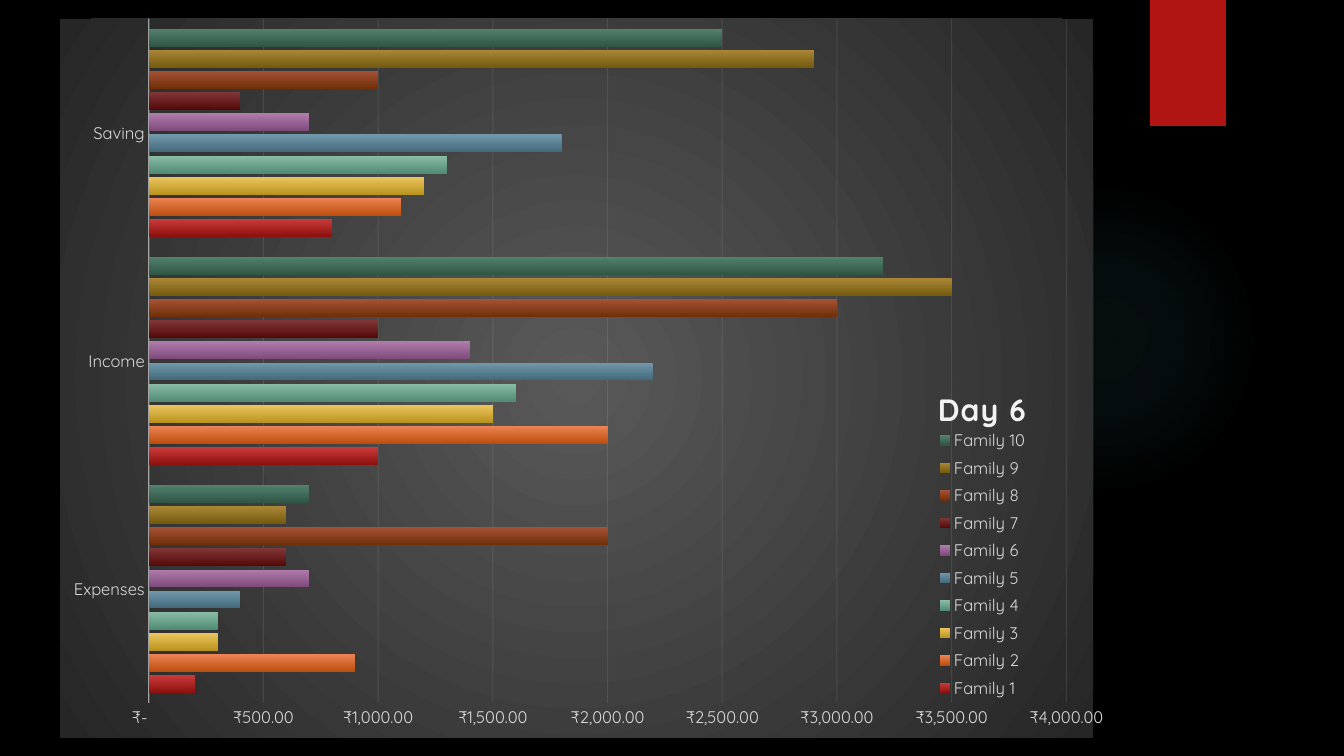
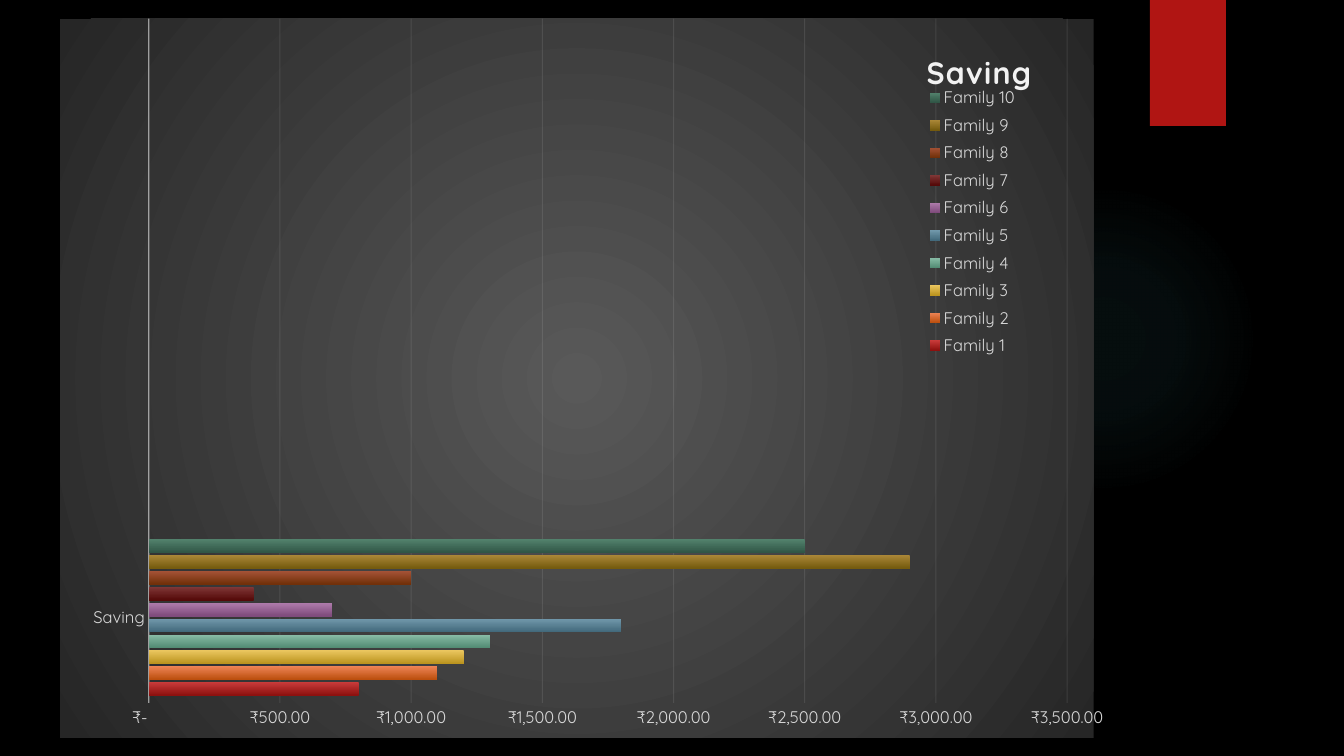
from lxml.etree import SubElement as Sub
from pptx import Presentation
from pptx.chart.data import CategoryChartData as Data
from pptx.dml.color import RGBColor as Rgb
from pptx.enum.chart import XL_CHART_TYPE as Kind, XL_LEGEND_POSITION as Spot, XL_TICK_MARK as Tick
from pptx.enum.shapes import MSO_SHAPE as Form
from pptx.oxml import parse_xml
from pptx.oxml.ns import nsdecls, qn
from pptx.util import Pt

NS = {
    "a": "http://schemas.openxmlformats.org/drawingml/2006/main",
    "c": "http://schemas.openxmlformats.org/drawingml/2006/chart",
}
INK = {"back": "000000", "flag": "B01513", "glow": "50B9C1", "mid": "595959", "edge": "262626",
       "text": "FFFFFF", "label": "D9D9D9", "line": "F2F2F2"}
BARS = [("C93B3A", "8D110F"), ("EE8455", "BC4F0E"), ("EBC65F", "BB941F"), ("89BDA7", "538C74"),
        ("7198AB", "436A7C"), ("AF7CAC", "7F4B7C"), ("7F3636", "550A09"), ("A45236", "713009"),
        ("AA8737", "755B0E"), ("52816C", "305646")]
MONEY = {
    "Expenses": [200, 900, 300, 300, 400, 700, 600, 2000, 600, 700],
    "Income": [1000, 2000, 1500, 1600, 2200, 1400, 1000, 3000, 3500, 3200],
    "Saving": [800, 1100, 1200, 1300, 1800, 700, 400, 1000, 2900, 2500],
}
RUPEE = '_("₹"* #,##0.00_);_("₹"* \\(#,##0.00\\);_("₹"* "-"??_);_(@_)'
FONT = "Quicksand"
WIDE, HIGH = 1344, 756
BOX = (60, 18, 1048, 720)


def px(num):
    """Turn px into EMU."""
    return round(num * 914400 / 100.8)


def hue(name):
    """Give the colour of a name or a hex string."""
    return Rgb.from_string(INK.get(name, name))


def fade(host, part):
    """Set the opacity of the first colour in an element, in percent."""
    Sub(host.find(".//a:srgbClr", NS), qn("a:alpha")).set("val", str(part * 1000))


def blend(host, stops, turn=None):
    """Put a gradient in place of the first empty fill, radial unless turned."""
    marks = "".join(
        f'<a:gs pos="{pos * 1000}"><a:srgbClr val="{hue(name)}">'
        f'<a:alpha val="{part * 1000}"/></a:srgbClr></a:gs>'
        for pos, name, part in stops)
    if turn is None:
        way = ('<a:path path="circle"><a:fillToRect l="50000" t="50000" '
               'r="50000" b="50000"/></a:path>')
    else:
        way = f'<a:lin ang="{turn * 60000}" scaled="0"/>'
    old = host.find(".//a:noFill", NS)
    new = parse_xml(f'<a:gradFill {nsdecls("a")} rotWithShape="1"><a:gsLst>{marks}</a:gsLst>{way}</a:gradFill>')
    old.getparent().replace(old, new)


def place(host, rank, left, top, wide=None, high=None, inner=False):
    """Fix the layout of a chart part, in px from the corner of the chart."""
    for old in host.findall("c:layout", NS):
        host.remove(old)
    lay = parse_xml(f'<c:layout {nsdecls("c")}><c:manualLayout/></c:layout>')
    man = lay[0]
    rows = [("layoutTarget", "inner")] if inner else []
    rows += [("xMode", "edge"), ("yMode", "edge"),
             ("x", left / BOX[2]), ("y", top / BOX[3])]
    if wide:
        rows += [("w", wide / BOX[2]), ("h", high / BOX[3])]
    for tag, val in rows:
        Sub(man, qn(f"c:{tag}")).set("val", str(val))
    host.insert(rank, lay)


class Deck:
    """Holds the style and the current slide."""

    def __init__(self):
        """Start an empty deck."""
        self.show = Presentation()
        self.show.slide_width, self.show.slide_height = px(WIDE), px(HIGH)
        self.slide = None

    def page(self):
        """Add a slide."""
        self.slide = self.show.slides.add_slide(self.show.slide_layouts[6])

    def shape(self, form, box):
        """Add a plain shape without line or shadow."""
        item = self.slide.shapes.add_shape(form, *map(px, box))
        item.shadow.inherit = False
        item.fill.background()
        item.line.fill.background()
        return item

    def base(self):
        """Put the glow and the flag on the master."""
        fill = self.show.slide_master.background.fill
        fill.solid()
        fill.fore_color.rgb = hue("back")
        glow = self.shape(Form.OVAL, (949, 184, 310, 310))
        blend(glow.element, [(0, "glow", 7), (36, "glow", 6), (69, "glow", 0)])
        flag = self.shape(Form.RECTANGLE, (1150, 0, 76, 126))
        flag.fill.solid()
        flag.fill.fore_color.rgb = hue("flag")
        shade = flag.element.find(".//a:effectLst", NS)
        shade.append(parse_xml(
            f'<a:outerShdw {nsdecls("a")} blurRad="{Pt(3)}" dist="{Pt(2)}" dir="5400000" rotWithShape="0">'
            f'<a:srgbClr val="{INK["back"]}"><a:alpha val="45000"/></a:srgbClr></a:outerShdw>'))
        for num, item in enumerate((glow, flag), 20):
            item.element.nvSpPr.cNvPr.set("id", str(num))
            self.show.slide_master.shapes.element.append(item.element)

    def font(self, font, size, name):
        """Style a font."""
        font.name, font.size = FONT, Pt(size)
        font.color.rgb = hue(name)

    def stroke(self, form, size, part):
        """Style a thin see-through line of a chart."""
        form.line.color.rgb = hue("line")
        form.line.width = Pt(size)
        fade(form.element, part)

    def chart(self, title, cats, peak, head, key):
        """Add a bar chart of the families."""
        data = Data()
        data.categories = cats
        for num in range(len(BARS)):
            vals = [MONEY[cat][num] if cat else None for cat in cats]
            data.add_series(f"Family {num + 1}", vals)
        chart = self.slide.shapes.add_chart(Kind.BAR_CLUSTERED, *map(px, BOX), data).chart
        root = chart.element
        root.find("c:chart", NS).addnext(
            parse_xml(f'<c:spPr {nsdecls("c", "a")}><a:noFill/><a:ln><a:noFill/></a:ln></c:spPr>'))
        blend(root.find("c:spPr", NS), [(0, "mid", 100), (100, "edge", 100)])
        self.font(chart.font, 10, "text")

        plot = chart.plots[0]
        plot.vary_by_categories = False
        plot.gap_width, plot.overlap = 115, -20
        for row, (top, low) in zip(plot.series, BARS):
            row.format.fill.background()
            blend(row.format.element, [(0, top, 100), (100, low, 100)], 90)
        place(root.find(".//c:plotArea", NS), 0, 90, 0, 931, 685, True)

        for axis in (chart.category_axis, chart.value_axis):
            axis.major_tick_mark = axis.minor_tick_mark = Tick.NONE
            self.font(axis.tick_labels.font, 12, "label")
        self.stroke(chart.category_axis.format, 1, 54)
        axis = chart.value_axis
        axis.minimum_scale, axis.maximum_scale, axis.major_unit = 0, peak, 500
        axis.format.line.fill.background()
        axis.has_major_gridlines = True
        self.stroke(axis.major_gridlines.format, 0.75, 10)
        axis.tick_labels.number_format = RUPEE
        axis.tick_labels.number_format_is_linked = False

        chart.has_title = True
        para = chart.chart_title.text_frame.paragraphs[0]
        para.text = title
        run = para.runs[0]
        self.font(run.font, 22, "line")
        run.font.bold = True
        root.find(".//c:title//a:rPr", NS).set("spc", "100")
        place(root.find(".//c:title", NS), 1, *head)

        chart.has_legend = True
        chart.legend.position = Spot.CORNER
        chart.legend.include_in_layout = True
        self.font(chart.legend.font, 12, "label")
        place(root.find(".//c:legend", NS), 1, *key, 110, 282)


def main():
    """Build and save the deck."""
    deck = Deck()
    deck.page()
    deck.base()
    deck.chart("Day 6", list(MONEY), 4000, (885, 363), (881, 405))
    deck.page()
    deck.chart("Saving", ["Saving", "", "", ""], 3500, (873, 26), (870, 62))
    deck.show.save("out.pptx")


if __name__ == "__main__":
    main()
